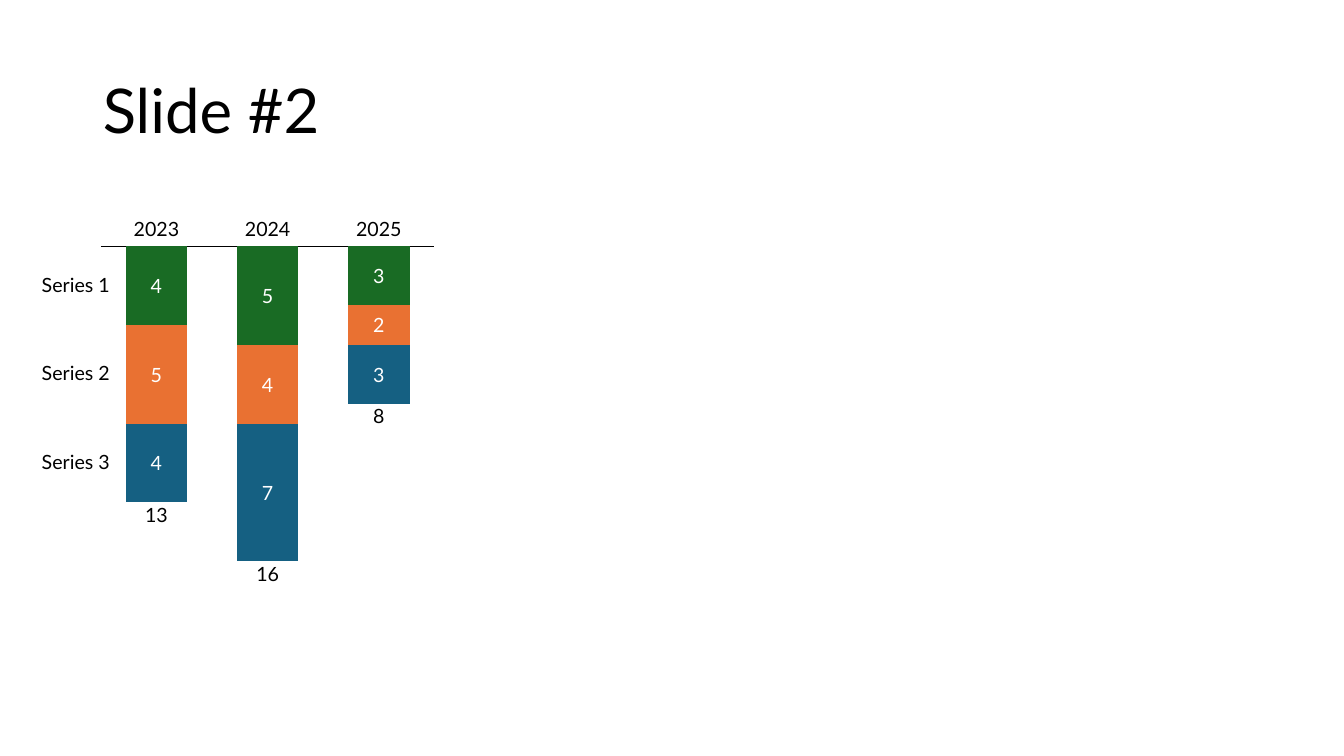
from lxml import etree
from pptx import Presentation
from pptx.chart.data import CategoryChartData
from pptx.dml.color import RGBColor
from pptx.enum.chart import (XL_CHART_TYPE, XL_LABEL_POSITION, XL_TICK_LABEL_POSITION,
                             XL_TICK_MARK)
from pptx.enum.text import MSO_ANCHOR, PP_ALIGN
from pptx.oxml.ns import qn
from pptx.util import Inches, Pt

BLACK = RGBColor(0x00, 0x00, 0x00)
WHITE = RGBColor(0xFF, 0xFF, 0xFF)
GREEN = RGBColor(0x19, 0x6B, 0x24)
ORANGE = RGBColor(0xE9, 0x71, 0x32)
BLUE = RGBColor(0x15, 0x60, 0x82)
FONT = "Lato"

YEARS = ["2023", "2024", "2025"]
SERIES = [
    ("Series 1", (4, 5, 3), GREEN),
    ("Series 2", (5, 4, 2), ORANGE),
    ("Series 3", (4, 7, 3), BLUE),
]
TOTALS = [sum(column) for column in zip(*(values for _, values, _ in SERIES))]

# Chart frame in inches, and the plot area as fractions of it
LEFT, TOP, WIDTH, HEIGHT = 0.91, 2.11, 3.49, 3.8
PLOT = {"x": 0.026, "y": 0.088, "w": 0.948, "h": 0.823}
PLOT_LEFT = LEFT + PLOT["x"] * WIDTH
PLOT_TOP = TOP + PLOT["y"] * HEIGHT
COLUMN_STEP = PLOT["w"] * WIDTH / len(YEARS)
UNIT = PLOT["h"] * HEIGHT / max(TOTALS)
LABEL_HEIGHT = 0.21
YEAR_WIDTH = 0.5
TOTAL_WIDTH = 0.3
SERIES_WIDTH = 0.72
SERIES_RIGHT = 1.09


def style_font(font, size, color=BLACK):
    font.name = FONT
    font.size = Pt(size)
    font.color.rgb = color


def add_title(page, text):
    title = page.shapes.title
    title.left, title.top = Inches(0.92), Inches(0.4)
    title.width, title.height = Inches(11.5), Inches(1.45)
    title.text_frame.text = text
    title.text_frame.vertical_anchor = MSO_ANCHOR.MIDDLE
    para = title.text_frame.paragraphs[0]
    para.alignment = PP_ALIGN.LEFT
    para.line_spacing = 0.9
    style_font(para.font, 44)


def add_label(page, text, left, top, width, align=PP_ALIGN.CENTER,
              anchor=MSO_ANCHOR.TOP):
    box = page.shapes.add_textbox(Inches(left), Inches(top), Inches(width),
                                  Inches(LABEL_HEIGHT))
    frame = box.text_frame
    frame.word_wrap = False
    frame.vertical_anchor = anchor
    frame.margin_left = frame.margin_right = 0
    frame.margin_top = frame.margin_bottom = 0
    frame.text = text
    para = frame.paragraphs[0]
    para.alignment = align
    para.line_spacing = 0.9
    style_font(para.font, 14)


def set_plot_layout(chart):
    """Fix the inner plot area so that the labels outside line up with it."""
    plot_area = chart._chartSpace.chart.plotArea
    for layout in plot_area.findall(qn("c:layout")):
        plot_area.remove(layout)
    layout = etree.Element(qn("c:layout"))
    plot_area.insert(0, layout)
    manual = etree.SubElement(layout, qn("c:manualLayout"))
    settings = {"layoutTarget": "inner", "xMode": "edge", "yMode": "edge", **PLOT}
    for name, value in settings.items():
        etree.SubElement(manual, qn(f"c:{name}")).set("val", str(value))


def add_stacked_chart(page):
    data = CategoryChartData()
    data.categories = ["1", "2", "3"]
    for name, values, _ in SERIES:
        data.add_series(name, values)
    chart = page.shapes.add_chart(XL_CHART_TYPE.COLUMN_STACKED, Inches(LEFT), Inches(TOP),
                                  Inches(WIDTH), Inches(HEIGHT), data).chart
    style_font(chart.font, 10)
    chart.has_legend = False
    chart.has_title = False
    set_plot_layout(chart)

    category_axis = chart.category_axis
    category_axis.tick_label_position = XL_TICK_LABEL_POSITION.NONE
    category_axis.major_tick_mark = XL_TICK_MARK.NONE
    category_axis.format.line.color.rgb = BLACK
    category_axis.format.line.width = Pt(0.75)

    value_axis = chart.value_axis
    value_axis.minimum_scale = 0
    value_axis.maximum_scale = max(TOTALS)
    value_axis.reverse_order = True
    value_axis.has_major_gridlines = False
    value_axis.visible = False

    plot = chart.plots[0]
    plot.gap_width = 80
    plot.overlap = 100
    plot.vary_by_categories = False
    for series, (_, _, color) in zip(plot.series, SERIES):
        series.format.fill.solid()
        series.format.fill.fore_color.rgb = color
        labels = series.data_labels
        labels.show_value = True
        labels.position = XL_LABEL_POSITION.CENTER
        style_font(labels.font, 14, WHITE)


def add_column_labels(page):
    """Put each year above its column and each total below it."""
    for index, (year, total) in enumerate(zip(YEARS, TOTALS)):
        center = PLOT_LEFT + (index + 0.5) * COLUMN_STEP
        add_label(page, year, center - YEAR_WIDTH / 2, PLOT_TOP - LABEL_HEIGHT - 0.06,
                  YEAR_WIDTH, anchor=MSO_ANCHOR.BOTTOM)
        add_label(page, str(total), center - TOTAL_WIDTH / 2,
                  PLOT_TOP + total * UNIT + 0.03, TOTAL_WIDTH)


def add_series_labels(page):
    """Name each series beside the middle of its part of the first column."""
    start = 0
    for name, values, _ in SERIES:
        middle = PLOT_TOP + (start + values[0] / 2) * UNIT
        add_label(page, name, SERIES_RIGHT - SERIES_WIDTH, middle - LABEL_HEIGHT / 2,
                  SERIES_WIDTH, PP_ALIGN.RIGHT, MSO_ANCHOR.MIDDLE)
        start += values[0]


def main():
    deck = Presentation()
    deck.slide_width, deck.slide_height = Inches(13.33), Inches(7.5)
    page = deck.slides.add_slide(deck.slide_layouts[5])
    add_title(page, "Slide #2")
    add_stacked_chart(page)
    add_column_labels(page)
    add_series_labels(page)
    deck.save("out.pptx")


if __name__ == "__main__":
    main()
